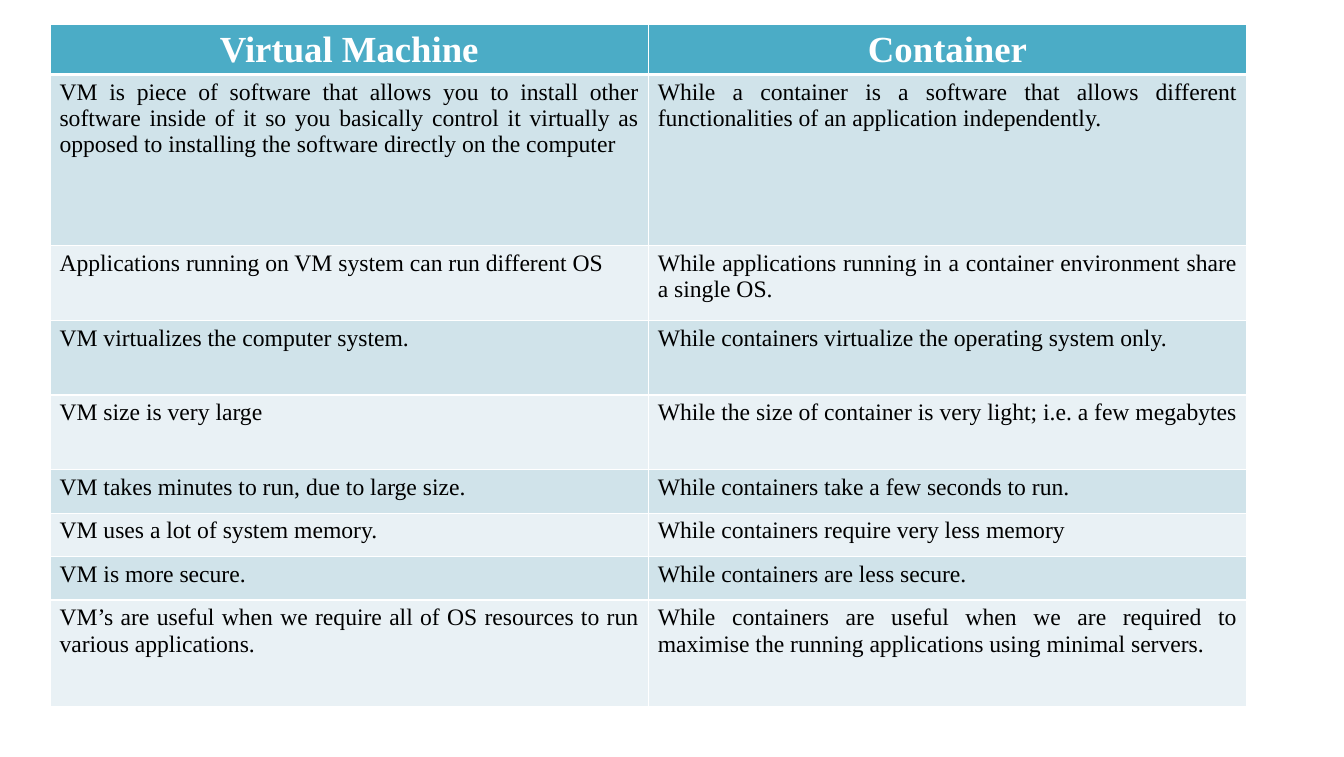
from dataclasses import dataclass

from lxml.etree import SubElement
from pptx import Presentation
from pptx.dml.color import RGBColor
from pptx.enum.text import PP_ALIGN as Align
from pptx.oxml.ns import qn
from pptx.util import Inches, Pt


@dataclass(frozen=True)
class Theme:
    font: str = "Times New Roman"
    header_size: int = 28
    body_size: int = 18
    header_text: str = "FFFFFF"
    body_text: str = "000000"
    header_fill: str = "4BACC6"
    bands: tuple = ("D0E3EA", "E9F1F5")
    border: str = "FFFFFF"
    thin: int = 1
    thick: int = 3


THEME = Theme()
HEADER_FORMAT = {"name": THEME.font, "size": Pt(THEME.header_size), "bold": True}
BODY_FORMAT = {"name": THEME.font, "size": Pt(THEME.body_size), "bold": False}

ROW_HEIGHTS = (0.46, 1.81, 0.79, 0.79, 0.79, 0.46, 0.46, 0.46, 1.13)
COLUMN_WIDTH = 6.33
COMPARISON = (
    ("Virtual Machine", "Container"),
    ("VM is piece of software that allows you to install other software inside of it "
     "so you basically control it virtually as opposed to installing the software "
     "directly on the computer",
     "While a container is a software that allows different functionalities of an "
     "application independently."),
    ("Applications running on VM system can run different OS",
     "While applications running in a container environment share a single OS."),
    ("VM virtualizes the computer system.",
     "While containers virtualize the operating system only."),
    ("VM size is very large",
     "While the size of container is very light; i.e. a few megabytes"),
    ("VM takes minutes to run, due to large size.",
     "While containers take a few seconds to run."),
    ("VM uses a lot of system memory.",
     "While containers require very less memory"),
    ("VM is more secure.", "While containers are less secure."),
    ("VM’s are useful when we require all of OS resources to run various applications.",
     "While containers are useful when we are required to maximise the running "
     "applications using minimal servers."),
)


def set_borders(cell, widths):
    properties = cell._tc.get_or_add_tcPr()
    for side, width in widths.items():
        line = SubElement(properties, qn(f"a:ln{side}"), w=str(Pt(width)))
        fill = SubElement(line, qn("a:solidFill"))
        SubElement(fill, qn("a:srgbClr"), val=THEME.border)


def write_cell(cell, text, text_format, color, alignment):
    para = cell.text_frame.paragraphs[0]
    para.alignment = alignment
    span = para.add_run()
    span.text = text
    for name, value in text_format.items():
        setattr(span.font, name, value)
    span.font.color.rgb = RGBColor.from_string(color)


def fill_cell(cell, color):
    cell.fill.solid()
    cell.fill.fore_color.rgb = RGBColor.from_string(color)


def style_cell(cell, row_index, text):
    borders = dict.fromkeys("LRTB", THEME.thin)
    if row_index == 0:
        borders["B"] = THEME.thick
        fill = THEME.header_fill
        write_cell(cell, text, HEADER_FORMAT, THEME.header_text, Align.CENTER)
    else:
        if row_index == 1:
            borders["T"] = THEME.thick
        fill = THEME.bands[(row_index - 1) % len(THEME.bands)]
        write_cell(cell, text, BODY_FORMAT, THEME.body_text, Align.JUSTIFY)
    set_borders(cell, borders)
    fill_cell(cell, fill)


def add_comparison(page):
    column_count = len(COMPARISON[0])
    frame = page.shapes.add_table(
        len(COMPARISON), column_count, Inches(0.53), Inches(0.26),
        Inches(COLUMN_WIDTH * column_count), Inches(sum(ROW_HEIGHTS)))
    table = frame.table
    for column in table.columns:
        column.width = Inches(COLUMN_WIDTH)
    for row_index, (row, height, texts) in enumerate(
            zip(table.rows, ROW_HEIGHTS, COMPARISON)):
        row.height = Inches(height)
        for cell, text in zip(row.cells, texts):
            style_cell(cell, row_index, text)


def main():
    deck = Presentation()
    deck.slide_width = Inches(14.22)
    deck.slide_height = Inches(8.01)
    page = deck.slides.add_slide(deck.slide_layouts.get_by_name("Blank"))
    add_comparison(page)
    deck.save("out.pptx")


if __name__ == "__main__":
    main()
